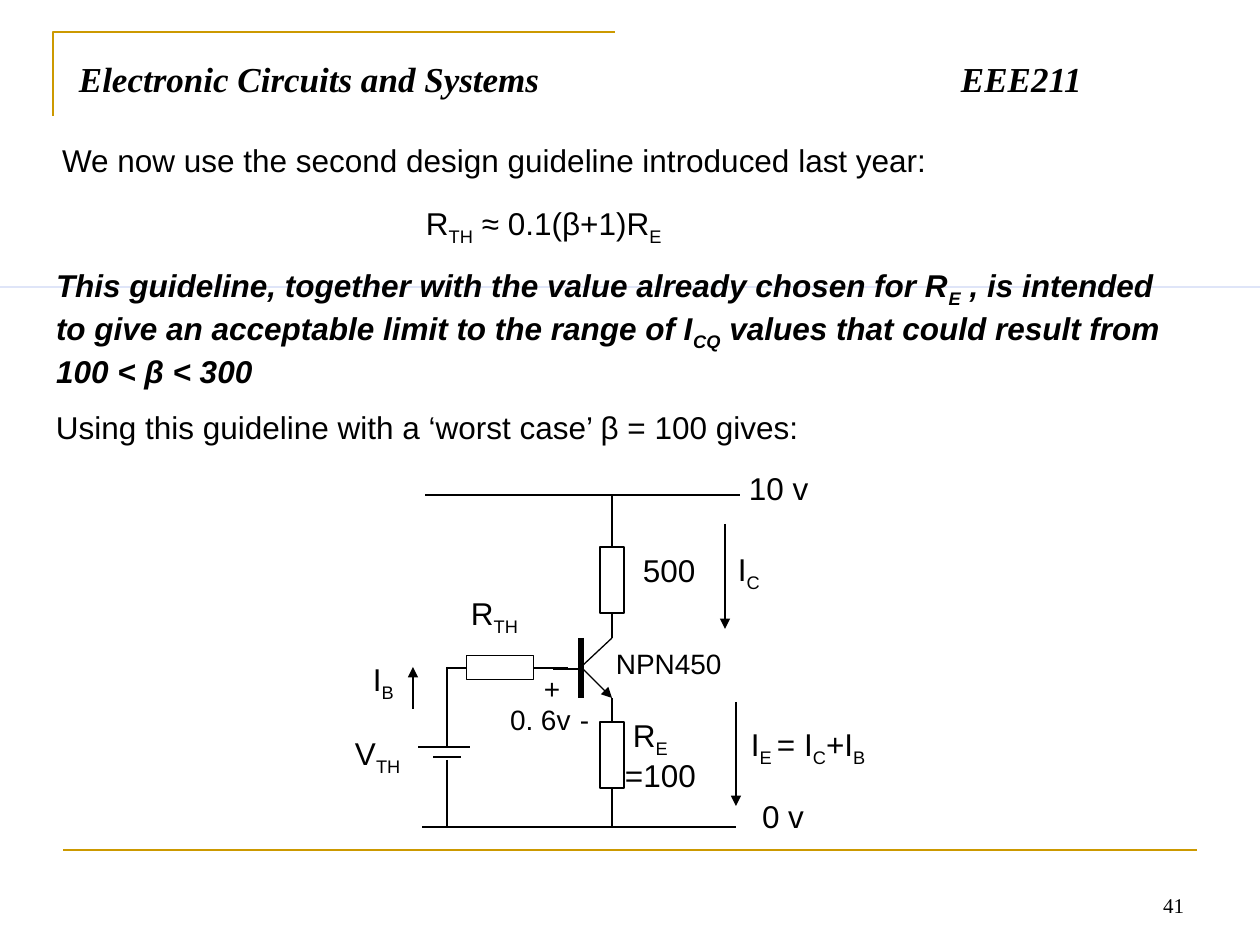
from lxml.etree import SubElement as Sub
from pptx import Presentation
from pptx.dml.color import RGBColor as Rgb
from pptx.enum.shapes import MSO_CONNECTOR as Conn, MSO_SHAPE as Kind
from pptx.enum.text import MSO_ANCHOR as Anchor, PP_ALIGN as Align
from pptx.oxml.ns import qn
from pptx.util import Inches, Pt

SCALE = Inches(1) / 126
BLACK, WHITE, GOLD, BLUE = "000000", "FFFFFF", "CC9900", "0033CC"
SANS, SERIF = "Arial", "Times New Roman"
TOP, BOTTOM = 0, 2


def px(n):
    return round(n * SCALE)


def paint(part, color):
    """Set a solid colour on a fill or a font."""
    if hasattr(part, "solid"):
        part.solid()
        part.fore_color.rgb = Rgb.from_string(color)
    else:
        part.color.rgb = Rgb.from_string(color)


def stroke(item, color=BLACK, width=0.75):
    paint(item.line.fill, color)
    item.line.width = Pt(width)


def wire(shapes, x1, y1, x2, y2, color=BLACK, width=0.75, arrow=False):
    line = shapes.add_connector(Conn.STRAIGHT, px(x1), px(y1), px(x2), px(y2))
    stroke(line, color, width)
    if arrow:
        Sub(line.line._get_or_add_ln(), qn("a:tailEnd"), type="triangle")
    Sub(line._element.spPr, qn("a:effectLst"))
    return line


def block(shapes, x, y, w, h, color=WHITE, edge=True):
    rect = shapes.add_shape(Kind.RECTANGLE, px(x), px(y), px(w), px(h))
    rect.shadow.inherit = False
    paint(rect.fill, color)
    if edge:
        stroke(rect)
    else:
        rect.line.fill.background()
    return rect


def write(shapes, x, y, w, h, text, size=18, face=SANS, strong=False,
          wrap=True, inset=(13, 6), align=Align.LEFT, anchor=Anchor.TOP,
          tab=None):
    """Text between bars is subscript: R|TH| gives R with a low TH."""
    frame = shapes.add_textbox(px(x), px(y), px(w), px(h)).text_frame
    frame.word_wrap = wrap
    frame.vertical_anchor = anchor
    frame.margin_left = frame.margin_right = px(inset[0])
    frame.margin_top = frame.margin_bottom = px(inset[1])
    para = frame.paragraphs[0]
    if tab:
        stops = Sub(para._p.get_or_add_pPr(), qn("a:tabLst"))
        Sub(stops, qn("a:tab"), pos=str(px(tab)), algn="l")
    para.alignment = align
    for i, part in enumerate(text.split("|")):
        if not part:
            continue
        run = para.add_run()
        run.text = part
        font = run.font
        font.size, font.name = Pt(size), face
        font.bold = font.italic = strong
        paint(font, BLACK)
        if i % 2:
            run._r.get_or_add_rPr().set("baseline", "-25000")


def header(shapes, x, y, w, h):
    # Gold corner
    path = shapes.build_freeform(px(x), px(y + 84))
    path.add_line_segments([(px(x), px(y)), (px(x + 562), px(y))], close=False)
    edge = path.convert_to_shape()
    edge.shadow.inherit = False
    edge.fill.background()
    stroke(edge, GOLD, 1.5)
    # Course title and code
    write(shapes, x + 13, y + 20, w - 14, h - 18,
          "Electronic Circuits and Systems\tEEE211",
          20, SERIF, strong=True, tab=882)


def footer(shapes, x, y, w, h):
    wire(shapes, x, y, x + w, y, GOLD, 1.5)
    write(shapes, x + w - 294, y + 10, 294, h - 10, "41", 12, SERIF,
          align=Align.RIGHT, anchor=Anchor.BOTTOM)


def body(shapes, x, y, w):
    block(shapes, 0, y + 152, 1260, 0, BLUE, edge=False)
    write(shapes, x + 6, y, w, 50,
          "We now use the second design guideline introduced last year:")
    write(shapes, x, y + 125, w - 14, 126,
          "This guideline, together with the value already chosen for R|E|"
          " , is intended to give an acceptable limit to the range of I|CQ|"
          " values that could result from 100 < β < 300", strong=True)
    write(shapes, x + 370, y + 63, 266, 50, "R|TH| ≈ 0.1(β+1)R|E|", wrap=False)
    write(shapes, x, y + 267, 843, 50,
          "Using this guideline with a ‘worst case’ β = 100 gives:")


def circuit(shapes, x, y):
    group = shapes.add_group_shape().shapes

    def lead(x1, y1, x2, y2, **style):
        return wire(group, x + x1, y + y1, x + x2, y + y2, **style)

    # Supply rails
    lead(394, 30, 79, 30)
    lead(390, 362, 76, 362)

    # Transistor
    lead(237, 204, 266, 233, arrow=True)
    lead(235, 173, 235, 233, width=3)
    lead(235, 202, 266, 173)
    lead(234, 204, 207, 204)

    # Collector and emitter resistors with their leads
    for top, start, end in ((82, 31, 173), (257, 233, 362)):
        rect = block(group, x + 254, y + top, 24, 66)
        lead(266, start, 266, top).end_connect(rect, TOP)
        lead(266, top + 66, 266, end).begin_connect(rect, BOTTOM)

    # Base wire and resistor
    lead(222, 203, 101, 203)
    block(group, x + 142, y + 169, 24, 67).rotation = 270

    # Battery
    lead(101, 202, 101, 282)
    lead(124, 282, 72, 282)
    lead(115, 292, 87, 292)
    lead(101, 295, 101, 362)

    # Current arrows
    for col, start, end in ((379, 59, 164), (67, 244, 202), (390, 237, 341)):
        lead(col, start, col, end, arrow=True)

    # Labels: left, top, width, size, text
    for left, top, wide, size, text in (
            (261, 178, 160, 16, "NPN450"),
            (288, 82, 102, 18, "500"),
            (394, 0, 96, 18, "10 v"),
            (407, 328, 82, 18, "0 v"),
            (116, 125, 83, 18, "R|TH|"),
            (0, 265, 84, 18, "V|TH|"),
            (278, 247, 67, 18, "R|E|"),
            (383, 81, 53, 18, "I|C|"),
            (155, 234, 110, 16, "0. 6v"),
            (18, 191, 84, 18, "I|B|"),
            (189, 203, 43, 16, "+"),
            (225, 234, 43, 16, "-"),
            (396, 256, 200, 18, "I|E |= I|C|+I|B|"),
            (270, 287, 130, 18, "=100")):
        write(group, x + left, y + top, wide, 55 if size == 18 else 46,
              text, size, inset=(9, 4))


def main():
    deck = Presentation()
    deck.slide_width, deck.slide_height = px(1260), px(945)
    shapes = deck.slides.add_slide(deck.slide_layouts[6]).shapes
    header(shapes, 53, 32, 1138, 95)
    footer(shapes, 63, 850, 1134, 74)
    body(shapes, 43, 135, 1154)
    circuit(shapes, 346, 465)
    deck.save("out.pptx")


if __name__ == "__main__":
    main()
